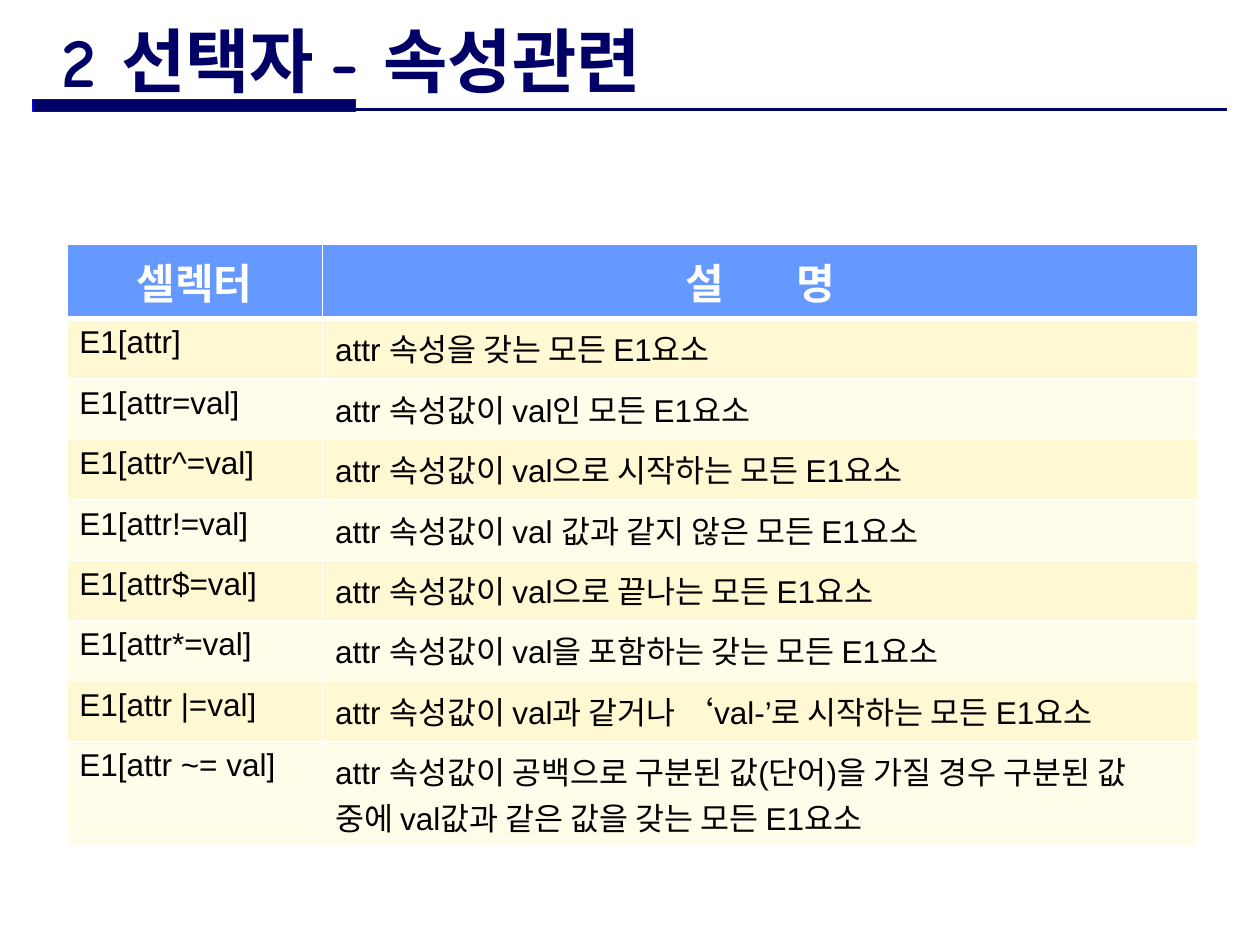
from lxml import etree
from pptx import Presentation
from pptx.dml.color import RGBColor
from pptx.enum.shapes import MSO_CONNECTOR, MSO_SHAPE
from pptx.enum.text import MSO_ANCHOR, PP_ALIGN
from pptx.oxml.ns import qn
from pptx.util import Inches, Pt

RECT = MSO_SHAPE.RECTANGLE
STRAIGHT = MSO_CONNECTOR.STRAIGHT
MIDDLE = MSO_ANCHOR.MIDDLE
LEFT, CENTER = PP_ALIGN.LEFT, PP_ALIGN.CENTER
rgb = RGBColor.from_string
NAVY, HEADER, WHITE = "000066", "6699FF", "FFFFFF"
BANDS = ["FFF9D3", "FFFCEA"]

ROWS = [
    ("E1[attr]", "attr 속성을 갖는 모든 E1요소"),
    ("E1[attr=val]", "attr 속성값이 val인 모든 E1요소"),
    ("E1[attr^=val]", "attr 속성값이 val으로 시작하는 모든 E1요소"),
    ("E1[attr!=val]", "attr 속성값이 val 값과 같지 않은 모든 E1요소"),
    ("E1[attr$=val]", "attr 속성값이 val으로 끝나는 모든 E1요소"),
    ("E1[attr*=val]", "attr 속성값이 val을 포함하는 갖는 모든 E1요소"),
    ("E1[attr |=val]", "attr 속성값이 val과 같거나 ‘val-’로 시작하는 모든 E1요소"),
    ("E1[attr ~= val]", "attr 속성값이 공백으로 구분된 값(단어)을 가질 경우 "
                        "구분된 값 중에 val값과 같은 값을 갖는 모든 E1요소"),
]


def write(tf, text, size=18, color="000000", bold=False, font="Arial",
          align=LEFT, spacing=0):
    """Append a run to the first paragraph; spacing is extra points per letter."""
    p = tf.paragraphs[0]
    p.alignment = align
    r = p.add_run()
    r.text = text
    r.font.size, r.font.bold, r.font.name = Pt(size), bold, font
    r.font.color.rgb = rgb(color)
    if spacing:
        r.font._element.set("spc", str(spacing * 100))


def style_cell(cell, fill, bottom=1):
    """Fill the cell and give it white borders, the bottom one of its own width."""
    cell.fill.solid()
    cell.fill.fore_color.rgb = rgb(fill)
    tcPr = cell._tc.get_or_add_tcPr()
    for i, (side, width) in enumerate(zip("LRTB", (1, 1, 1, bottom))):
        ln = etree.Element(qn(f"a:ln{side}"), w=str(Pt(width)))
        solid = etree.SubElement(ln, qn("a:solidFill"))
        etree.SubElement(solid, qn("a:srgbClr"), val=WHITE)
        tcPr.insert(i, ln)


prs = Presentation()
prs.slide_width, prs.slide_height = Inches(10), Inches(7.5)
s = prs.slides.add_slide(prs.slide_layouts[6])

# Title rule: thick bar over a thin line
margin, rule_y = Inches(0.26), Inches(0.87)
bar = s.shapes.add_shape(RECT, margin, Inches(0.79), Inches(2.56), Inches(0.09))
bar.shadow.inherit = False
bar.fill.solid()
bar.fill.fore_color.rgb = rgb(NAVY)
bar.line.color.rgb = rgb("0000FF")
bar.line.width = Pt(0.75)
rule = s.shapes.add_connector(STRAIGHT, margin, rule_y, prs.slide_width - margin, rule_y)
rule.line.color.rgb = rgb(NAVY)
rule.line.width = Pt(1.5)
etree.SubElement(rule._element.spPr, qn("a:effectLst"))

# Title
title = s.shapes.add_textbox(Inches(0.39), Inches(0.21), Inches(6.79), Inches(0.52))
tf = title.text_frame
tf.word_wrap = True
tf.vertical_anchor = MIDDLE
write(tf, "2 선택자 - 속성관련", size=40, color=NAVY, bold=True, font="Comic Neue")

# Selector table
widths = [2.03, 6.95]
heights = [0.59] + [0.48] * (len(ROWS) - 1) + [0.83]
table = s.shapes.add_table(len(heights), len(widths), Inches(0.53), Inches(1.94),
                           Inches(sum(widths)), Inches(sum(heights))).table
for column, width in zip(table.columns, widths):
    column.width = Inches(width)
for row, height in zip(table.rows, heights):
    row.height = Inches(height)

# The wide gap in the second heading comes from letter spacing
headings = [[("셀렉터", 0)], [("설 ", 18), ("명", 0)]]
for c, parts in enumerate(headings):
    cell = table.cell(0, c)
    style_cell(cell, HEADER, bottom=3)
    for text, spacing in parts:
        write(cell.text_frame, text, size=24, color=WHITE, bold=True,
              align=CENTER, spacing=spacing)

for i, texts in enumerate(ROWS):
    for c, text in enumerate(texts):
        cell = table.cell(i + 1, c)
        style_cell(cell, BANDS[i % 2], bottom=1)
        write(cell.text_frame, text)
for c in range(len(widths)):
    top = table.cell(1, c)._tc.tcPr.find(qn("a:lnT"))
    top.set("w", str(Pt(3)))

prs.save("out.pptx")
